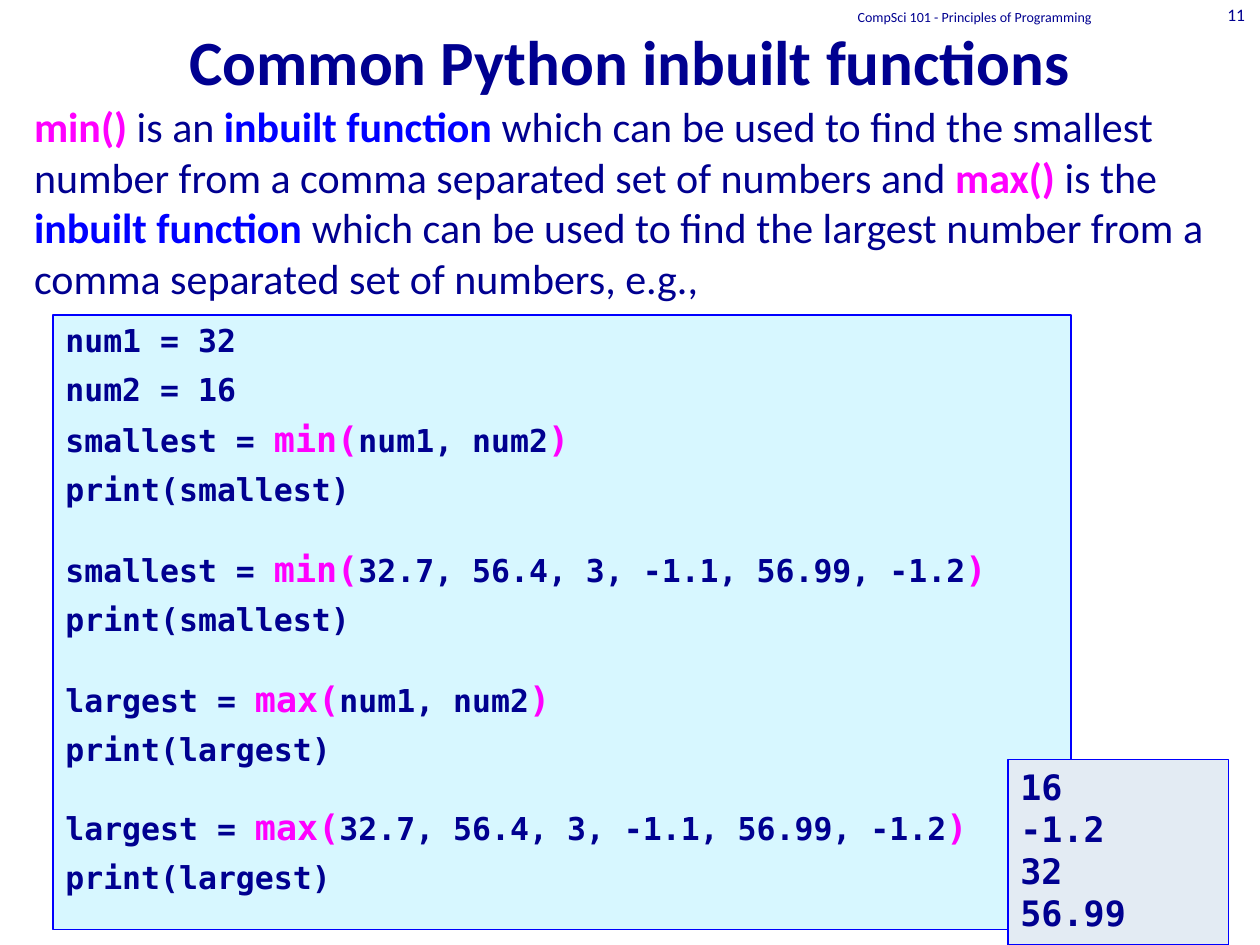
"""Builds the slide on Python's inbuilt min() and max() functions."""
import pptx
import pptx.dml.color
import pptx.enum.shapes
import pptx.enum.text
import pptx.util

THEME = {
    "text_font": "Calibri", "code_font": "DejaVu Sans Mono",
    "navy": "000090", "blue": "0000FF", "magenta": "FF00FF",
    "code_fill": "D7F7FF", "output_fill": "E3EBF3",
    "title": 36, "body": 24, "call": 20, "code": 18, "number": 10, "footer": 8,
}
ALIGN = pptx.enum.text.PP_ALIGN
ANCHOR = pptx.enum.text.MSO_ANCHOR


def place(shape, left, top, width, height, anchor=ANCHOR.TOP):
    shape.left, shape.top, shape.width, shape.height = (
        pptx.util.Inches(length) for length in (left, top, width, height))
    shape.text_frame.word_wrap = True
    shape.text_frame.auto_size = pptx.enum.text.MSO_AUTO_SIZE.NONE
    shape.text_frame.vertical_anchor = anchor


def write(paragraph, text, size="body", color="navy", bold=False, font="text_font", align=ALIGN.LEFT):
    paragraph.alignment = align
    run = paragraph.add_run()
    run.text = text
    run.font.name = THEME[font]
    run.font.size = pptx.util.Pt(THEME[size])
    run.font.bold = bold
    run.font.color.rgb = pptx.dml.color.RGBColor.from_string(THEME[color])


presentation = pptx.Presentation()
presentation.slide_width = pptx.util.Inches(10)
presentation.slide_height = pptx.util.Inches(7.5)
slide = presentation.slides.add_slide(presentation.slide_layouts[1])

title, body = slide.placeholders
place(title, 0, 0, 10, 0.83, ANCHOR.BOTTOM)
write(title.text_frame.paragraphs[0], "Common Python inbuilt functions",
      size="title", bold=True, align=ALIGN.CENTER)

place(body, 0.17, 0.75, 9.67, 5.92)
introduction = body.text_frame.paragraphs[0]
properties = introduction._p.get_or_add_pPr()
properties.set("marL", "0")
properties.set("indent", "0")
properties.append(pptx.oxml.parse_xml(
    '<a:buNone xmlns:a="http://schemas.openxmlformats.org/drawingml/2006/main"/>'))
for text, color in [
    ("min() ", "magenta"),
    ("is an ", "navy"),
    ("inbuilt function ", "blue"),
    ("which can be used to find the smallest number from a comma separated set of numbers and ", "navy"),
    ("max() ", "magenta"),
    ("is the ", "navy"),
    ("inbuilt function ", "blue"),
    ("which can be used to find the largest number from a comma separated set of numbers, e.g.,", "navy"),
]:
    write(introduction, text, color=color, bold=color != "navy")

for text, size, align, bounds in [
    ("CompSci 101 - Principles of Programming ", "footer", ALIGN.CENTER, (5.75, -0.08, 4, 0.42)),
    ("11", "number", ALIGN.RIGHT, (9.42, -0.08, 0.56, 0.39)),
]:
    header = slide.shapes.add_textbox(0, 0, 0, 0)
    place(header, *bounds, ANCHOR.MIDDLE)
    write(header.text_frame.paragraphs[0], text, size=size, align=align)

NUMBERS = "32.7, 56.4, 3, -1.1, 56.99, -1.2"
code_lines = [(6, ["num1 = 32"]), (6, ["num2 = 16"])]
for name, function, arguments, space in [
    ("smallest", "min(", "num1, num2", 6),
    ("smallest", "min(", NUMBERS, 22.5),
    ("largest", "max(", "num1, num2", 22.5),
    ("largest", "max(", NUMBERS, 21.5),
]:
    code_lines.append((space, [f"{name} = ", function, arguments, ")"]))
    code_lines.append((6, [f"print({name})"]))
output_lines = [(0, [value]) for value in ("16", "-1.2", "32", "56.99")]

for bounds, fill, size, lines in [
    ((0.42, 2.5, 8.08, 4.88), "code_fill", "code", code_lines),
    ((8, 6.03, 1.75, 1.47), "output_fill", "call", output_lines),
]:
    panel = slide.shapes.add_shape(pptx.enum.shapes.MSO_SHAPE.RECTANGLE, 0, 0, 0, 0)
    place(panel, *bounds)
    panel.shadow.inherit = False
    panel.fill.solid()
    panel.fill.fore_color.rgb = pptx.dml.color.RGBColor.from_string(THEME[fill])
    panel.line.color.rgb = pptx.dml.color.RGBColor.from_string(THEME["blue"])
    panel.line.width = pptx.util.Pt(0.75)
    for index, (space, parts) in enumerate(lines):
        frame = panel.text_frame
        paragraph = frame.add_paragraph() if index else frame.paragraphs[0]
        paragraph.space_before = pptx.util.Pt(space)
        for part in parts:
            is_call = part in ("min(", "max(", ")")
            write(paragraph, part, size="call" if is_call else size,
                  color="magenta" if is_call else "navy", bold=True, font="code_font")

presentation.save("out.pptx")
